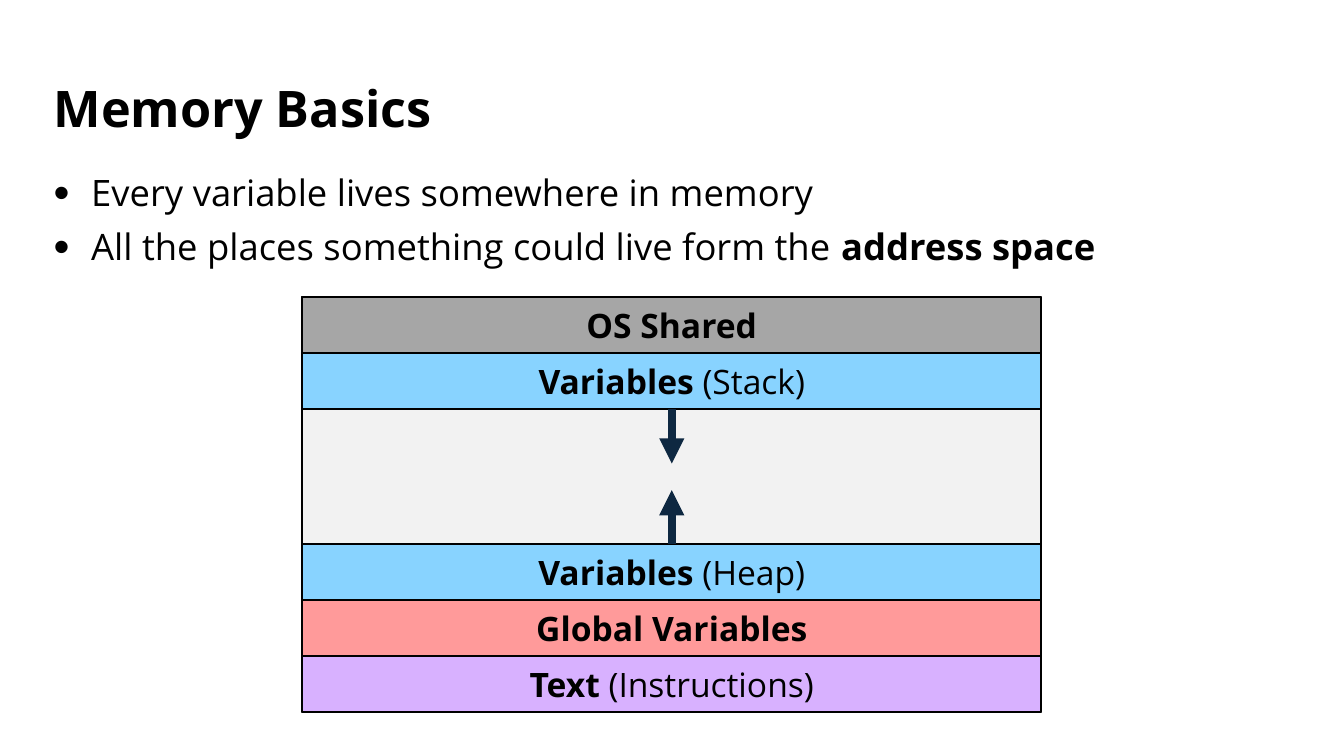
from lxml import etree
from pptx import Presentation
from pptx.dml.color import RGBColor
from pptx.enum.shapes import MSO_CONNECTOR as Link, MSO_SHAPE as Preset
from pptx.enum.text import MSO_ANCHOR as Anchor, PP_ALIGN as Align
from pptx.oxml.ns import qn
from pptx.util import Cm, Pt

FONT = "Open Sans"
BLACK, NAVY, FREE = "000000", "0E2841", "F2F2F2"
GRAY, BLUE, RED, PURPLE = "A6A6A6", "88D3FF", "FF9A9A", "D8B1FF"
BAND = 1.41  # height of one memory segment, cm
ARROW = 1.37

# Segments as (bold words, plain words, fill)
TOP_SEGMENTS = [("OS Shared", "", GRAY), ("Variables ", "(Stack)", BLUE)]
BOTTOM_SEGMENTS = [("Variables ", "(Heap)", BLUE), ("Global Variables", "", RED),
                   ("Text ", "(Instructions)", PURPLE)]
# Bullets as (text, bold)
BULLETS = [[("Every variable lives somewhere in memory", False)],
           [("All the places something could live form the ", False),
            ("address space", True)]]


def color(value):
    return RGBColor.from_string(value)


def write(para, spans, size):
    """Fill a paragraph with (text, bold) spans."""
    para.font.name, para.font.size = FONT, Pt(size)
    para.font.color.rgb = color(BLACK)
    for text, bold in spans:
        span = para.add_run()
        span.text = text
        span.font.bold = bold


def text_frame(page, left, top, width, height):
    frame = page.shapes.add_textbox(Cm(left), Cm(top), Cm(width), Cm(height)).text_frame
    frame.word_wrap = True
    return frame


def add_title(page, left, top, width, height):
    frame = text_frame(page, left, top, width, height)
    frame.vertical_anchor = Anchor.MIDDLE
    para = frame.paragraphs[0]
    para.line_spacing = 0.9
    write(para, [("Memory Basics", True)], 36)


def add_bullets(page, left, top, width, height):
    frame = text_frame(page, left, top, width, height)
    for index, spans in enumerate(BULLETS):
        para = frame.add_paragraph() if index else frame.paragraphs[0]
        props = para._p.get_or_add_pPr()
        props.set("marL", str(Cm(0.95)))
        props.set("indent", str(-Cm(0.95)))
        etree.SubElement(props, qn("a:buSzPct"), val="125000")
        etree.SubElement(props, qn("a:buFont"), typeface="Arial")
        etree.SubElement(props, qn("a:buChar"), char="•")
        para.line_spacing = 0.9
        if index:
            para.space_before = Pt(10)
        write(para, spans, 26)


def add_block(page, left, top, width, height, fill):
    box = page.shapes.add_shape(Preset.RECTANGLE, Cm(left), Cm(top), Cm(width), Cm(height))
    box.shadow.inherit = False
    box.fill.solid()
    box.fill.fore_color.rgb = color(fill)
    box.line.color.rgb = color(BLACK)
    box.line.width = Pt(1.5)
    return box


def add_arrow(page, x, start, end):
    arrow = page.shapes.add_connector(Link.STRAIGHT, Cm(x), Cm(start), Cm(x), Cm(end))
    arrow.line.color.rgb = color(NAVY)
    arrow.line.width = Pt(6)
    etree.SubElement(arrow.line._get_or_add_ln(), qn("a:tailEnd"), type="triangle")
    etree.SubElement(arrow._element.spPr, qn("a:effectLst"))


def add_memory_map(page, left, top, width, height):
    # Free space behind all segments
    add_block(page, left, top, width, height, FREE)
    stack_end = top + BAND * len(TOP_SEGMENTS)
    heap_start = top + height - BAND * len(BOTTOM_SEGMENTS)

    # Segments stacked from either end
    for start, segments in ((top, TOP_SEGMENTS), (heap_start, BOTTOM_SEGMENTS)):
        for index, (strong, plain, fill) in enumerate(segments):
            box = add_block(page, left, start + index * BAND, width, BAND, fill)
            frame = box.text_frame
            frame.vertical_anchor = Anchor.MIDDLE
            para = frame.paragraphs[0]
            para.alignment = Align.CENTER
            spans = [(strong, True), (plain, False)]
            write(para, [span for span in spans if span[0]], 24)

    # Stack and heap grow towards each other
    middle = left + width / 2
    add_arrow(page, middle, heap_start, heap_start - ARROW)
    add_arrow(page, middle, stack_end, stack_end + ARROW)


def main():
    deck = Presentation()
    deck.slide_width, deck.slide_height = Cm(33.87), Cm(19.05)
    page = deck.slides.add_slide(deck.slide_layouts[6])
    add_bullets(page, 1.1, 4.3, 31.67, 13.28)
    add_title(page, 1.1, 1.75, 31.67, 2.13)
    add_memory_map(page, 7.62, 7.49, 18.62, 10.46)
    deck.save("out.pptx")


if __name__ == "__main__":
    main()
